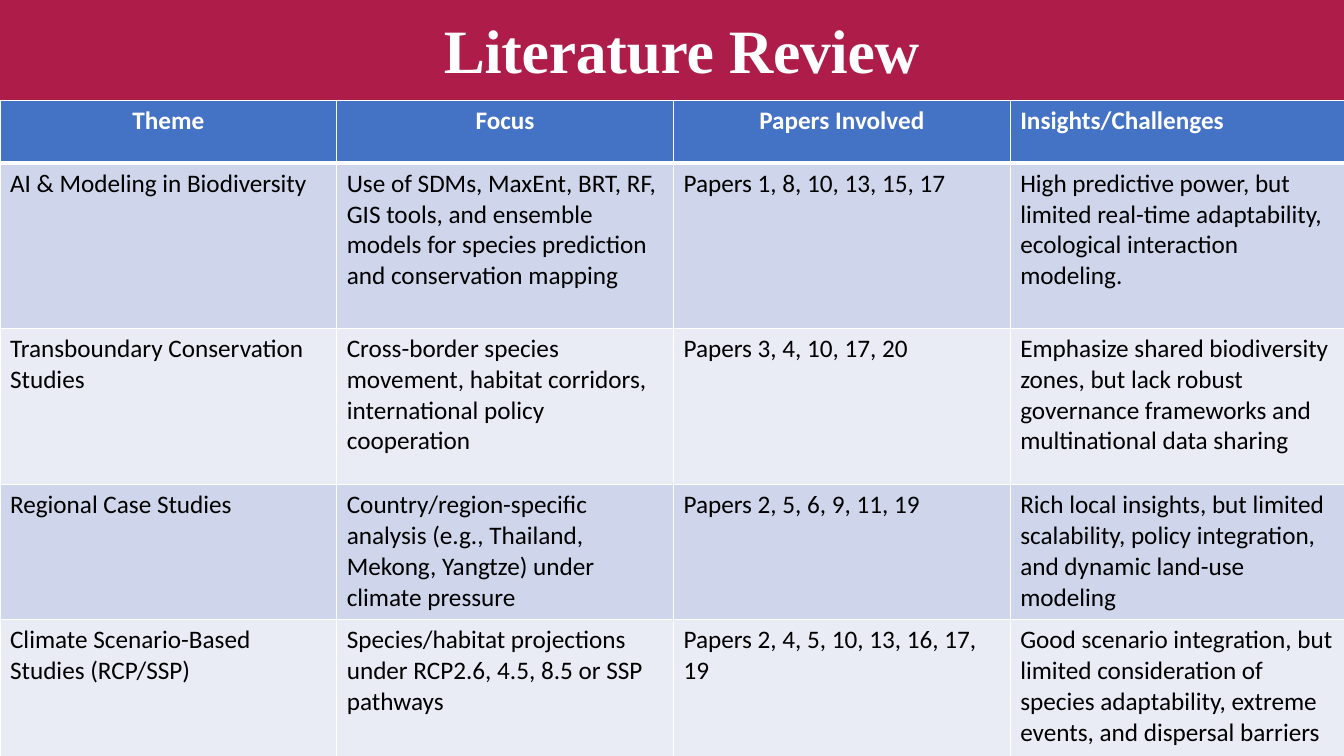
"""Build a literature review slide with a title band and a table of themes."""
import pptx
import pptx.dml.color
import pptx.enum.shapes
import pptx.enum.text
import pptx.oxml
import pptx.oxml.ns
import pptx.util

WIDTH = pptx.util.Inches(13.33)
HEIGHT = pptx.util.Inches(7.5)
BAND_HEIGHT = pptx.util.Inches(1)
COLUMN_WIDTH = pptx.util.Inches(3.34)
ROW_HEIGHTS = [0.62, 1.64, 1.55, 1.34, 1.55]
COLORS = {
    "band": "AE1D49",
    "header": "4472C4",
    "odd": "CFD5EA",
    "even": "E9EBF5",
    "light": "FFFFFF",
    "dark": "000000",
}
HEADERS = ["Theme", "Focus", "Papers Involved", "Insights/Challenges"]
THEMES = [
    [
        "AI & Modeling in Biodiversity",
        "Use of SDMs, MaxEnt, BRT, RF, GIS tools, and ensemble models for species prediction and conservation mapping",
        "Papers 1, 8, 10, 13, 15, 17",
        "High predictive power, but limited real-time adaptability, ecological interaction modeling.",
    ],
    [
        "Transboundary Conservation Studies",
        "Cross-border species movement, habitat corridors, international policy cooperation",
        "Papers 3, 4, 10, 17, 20",
        "Emphasize shared biodiversity zones, but lack robust governance frameworks and multinational data sharing",
    ],
    [
        "Regional Case Studies",
        "Country/region-specific analysis (e.g., Thailand, Mekong, Yangtze) under climate pressure",
        "Papers 2, 5, 6, 9, 11, 19",
        "Rich local insights, but limited scalability, policy integration, and dynamic land-use modeling",
    ],
    [
        "Climate Scenario-Based Studies (RCP/SSP)",
        "Species/habitat projections under RCP2.6, 4.5, 8.5 or SSP pathways",
        "Papers 2, 4, 5, 10, 13, 16, 17, 19",
        "Good scenario integration, but limited consideration of species adaptability, extreme events, and dispersal barriers",
    ],
]


def color(name):
    return pptx.dml.color.RGBColor.from_string(COLORS[name])


def style_font(font, family, size, color_name, bold):
    font.name = family
    font.size = pptx.util.Pt(size)
    font.bold = bold
    font.color.rgb = color(color_name)


def add_band(slide):
    band = slide.shapes.add_shape(
        pptx.enum.shapes.MSO_SHAPE.RECTANGLE, 0, 0, WIDTH, BAND_HEIGHT)
    band.shadow.inherit = False
    band.fill.solid()
    band.fill.fore_color.rgb = color("band")
    band.line.fill.background()


def add_title(slide, text):
    box = slide.shapes.add_textbox(
        pptx.util.Inches(4.02), pptx.util.Inches(0.19),
        pptx.util.Inches(5.48), pptx.util.Inches(0.68))
    frame = box.text_frame
    frame.word_wrap = True
    frame.margin_left = frame.margin_right = frame.margin_bottom = 0
    frame.margin_top = pptx.util.Inches(0.01)
    paragraph = frame.paragraphs[0]
    paragraph.text = text
    paragraph.alignment = pptx.enum.text.PP_ALIGN.CENTER
    paragraph.line_spacing = 0.9
    style_font(paragraph.font, "Times New Roman", 44, "light", True)
    paragraph.runs[0]._r.get_or_add_rPr().set("spc", "-20")


def add_borders(cell, top, bottom):
    properties = cell._tc.get_or_add_tcPr()
    for side, points in (("L", 1), ("R", 1), ("T", top), ("B", bottom)):
        properties.append(pptx.oxml.parse_xml(
            f'<a:ln{side} {pptx.oxml.ns.nsdecls("a")} w="{pptx.util.Pt(points)}">'
            f'<a:solidFill><a:srgbClr val="{COLORS["light"]}"/></a:solidFill>'
            f'</a:ln{side}>'))


def fill_cell(cell, text, fill, font_color, bold, centered):
    cell.fill.solid()
    cell.fill.fore_color.rgb = color(fill)
    paragraph = cell.text_frame.paragraphs[0]
    paragraph.text = text
    if centered:
        paragraph.alignment = pptx.enum.text.PP_ALIGN.CENTER
    style_font(paragraph.font, "Calibri", 18, font_color, bold)


def add_theme_table(slide):
    rows = [HEADERS] + THEMES
    table = slide.shapes.add_table(
        len(rows), len(HEADERS), 0, BAND_HEIGHT,
        COLUMN_WIDTH * len(HEADERS), pptx.util.Inches(sum(ROW_HEIGHTS))).table
    for column in table.columns:
        column.width = COLUMN_WIDTH
    for row_index, texts in enumerate(rows):
        table.rows[row_index].height = pptx.util.Inches(ROW_HEIGHTS[row_index])
        is_header = row_index == 0
        fill = "header" if is_header else ("even", "odd")[row_index % 2]
        font_color = "light" if is_header else "dark"
        for column_index, text in enumerate(texts):
            cell = table.cell(row_index, column_index)
            add_borders(cell, 3 if row_index == 1 else 1, 3 if is_header else 1)
            centered = is_header and column_index < len(HEADERS) - 1
            fill_cell(cell, text, fill, font_color, is_header, centered)


def main():
    presentation = pptx.Presentation()
    presentation.slide_width = WIDTH
    presentation.slide_height = HEIGHT
    slide = presentation.slides.add_slide(presentation.slide_layouts[6])
    add_band(slide)
    add_title(slide, "Literature Review")
    add_theme_table(slide)
    presentation.save("out.pptx")


if __name__ == "__main__":
    main()
